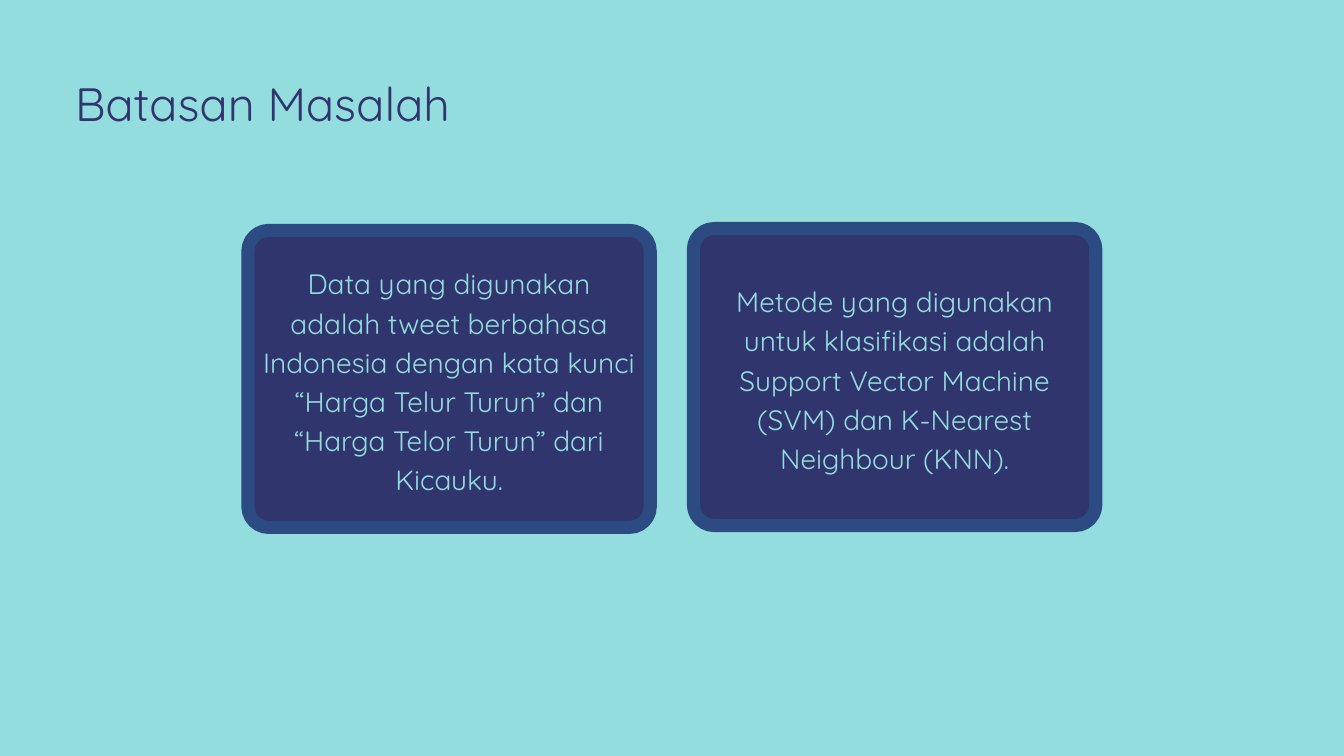
from pptx import Presentation
from pptx.dml.color import RGBColor
from pptx.enum import shapes, text
from pptx.util import Cm, Pt


def hue(code):
    return RGBColor.from_string(code)


class Deck:
    """Hold the style and the current slide."""

    font = "Quicksand"
    sky, navy, blue = "94DDDE", "31356E", "2B4B82"

    def __init__(self):
        self.prs = Presentation()
        self.prs.slide_width, self.prs.slide_height = Cm(50.8), Cm(28.58)
        self.slide = self.prs.slides.add_slide(self.prs.slide_layouts[5])
        fill = self.slide.background.fill
        fill.solid()
        fill.fore_color.rgb = hue(self.sky)

    def label(self, frame, words, size, pitch, ink, align, anchor, side=0):
        frame.word_wrap = True
        frame.auto_size = text.MSO_AUTO_SIZE.NONE
        frame.vertical_anchor = anchor
        frame.margin_left = frame.margin_right = Cm(side)
        frame.margin_top = frame.margin_bottom = 0
        para = frame.paragraphs[0]
        para.alignment = align
        para.line_spacing = Pt(pitch)
        run = para.add_run()
        run.text = words
        run.font.name, run.font.size = self.font, Pt(size)
        run.font.color.rgb = hue(ink)

    def title(self, words, left, top, width, height):
        box = self.slide.shapes.title
        box.left, box.top = Cm(left), Cm(top)
        box.width, box.height = Cm(width), Cm(height)
        self.label(box.text_frame, words, 50, 60, self.navy,
                   text.PP_ALIGN.LEFT, text.MSO_ANCHOR.TOP)

    def card(self, words, left, top, width=15.21, height=11.23):
        box = self.slide.shapes.add_shape(
            shapes.MSO_SHAPE.ROUNDED_RECTANGLE,
            Cm(left), Cm(top), Cm(width), Cm(height))
        box.adjustments[0] = 0.07
        box.shadow.inherit = False
        box.fill.solid()
        box.fill.fore_color.rgb = hue(self.navy)
        box.line.color.rgb = hue(self.blue)
        box.line.width = Pt(14)
        self.label(box.text_frame, words, 30, 42, self.sky,
                   text.PP_ALIGN.CENTER, text.MSO_ANCHOR.MIDDLE, 0.32)


def main():
    deck = Deck()
    deck.title("Batasan Masalah", 2.84, 2.82, 27.13, 2.13)
    deck.card("Data yang digunakan adalah tweet berbahasa Indonesia dengan "
              "kata kunci “Harga Telur Turun” dan “Harga Telor Turun” dari "
              "Kicauku.", 9.37, 8.71)
    deck.card("Metode yang digunakan untuk klasifikasi adalah Support Vector "
              "Machine (SVM) dan K-Nearest Neighbour (KNN).", 26.21, 8.64)
    deck.prs.save("out.pptx")


if __name__ == "__main__":
    main()
